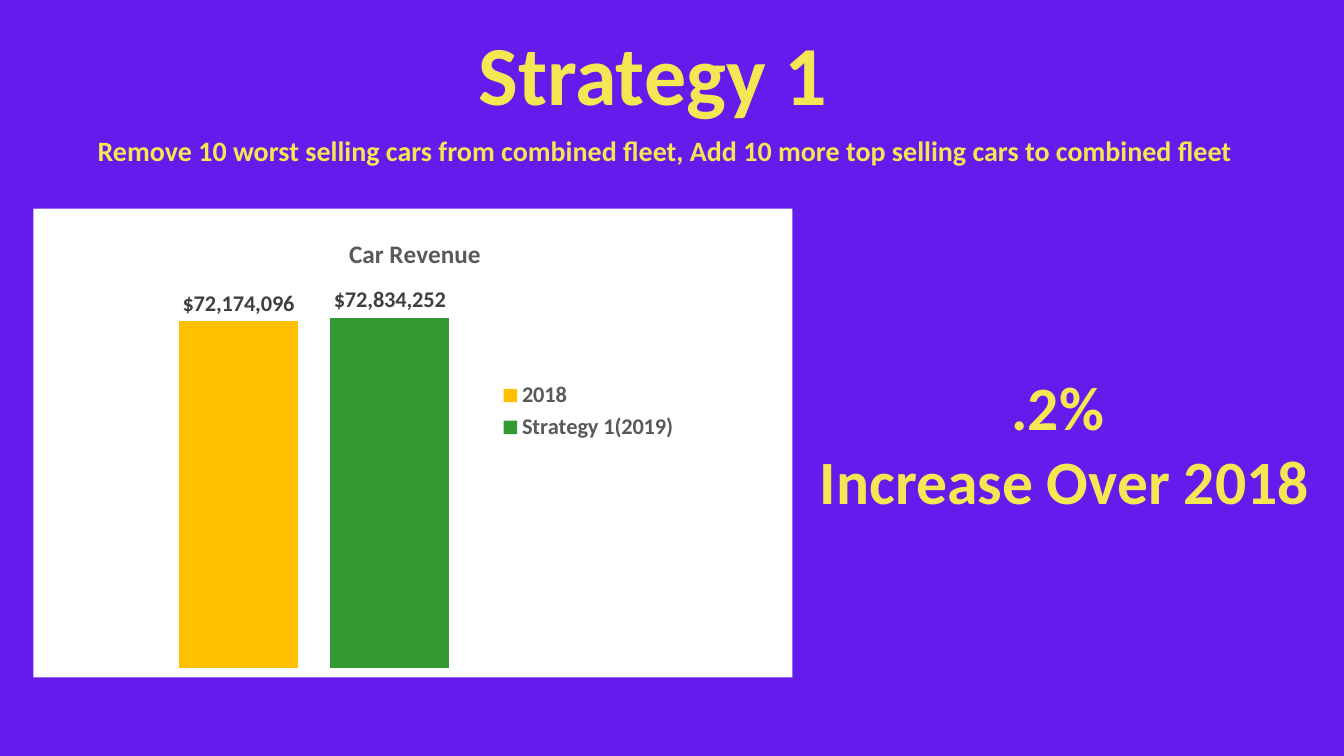
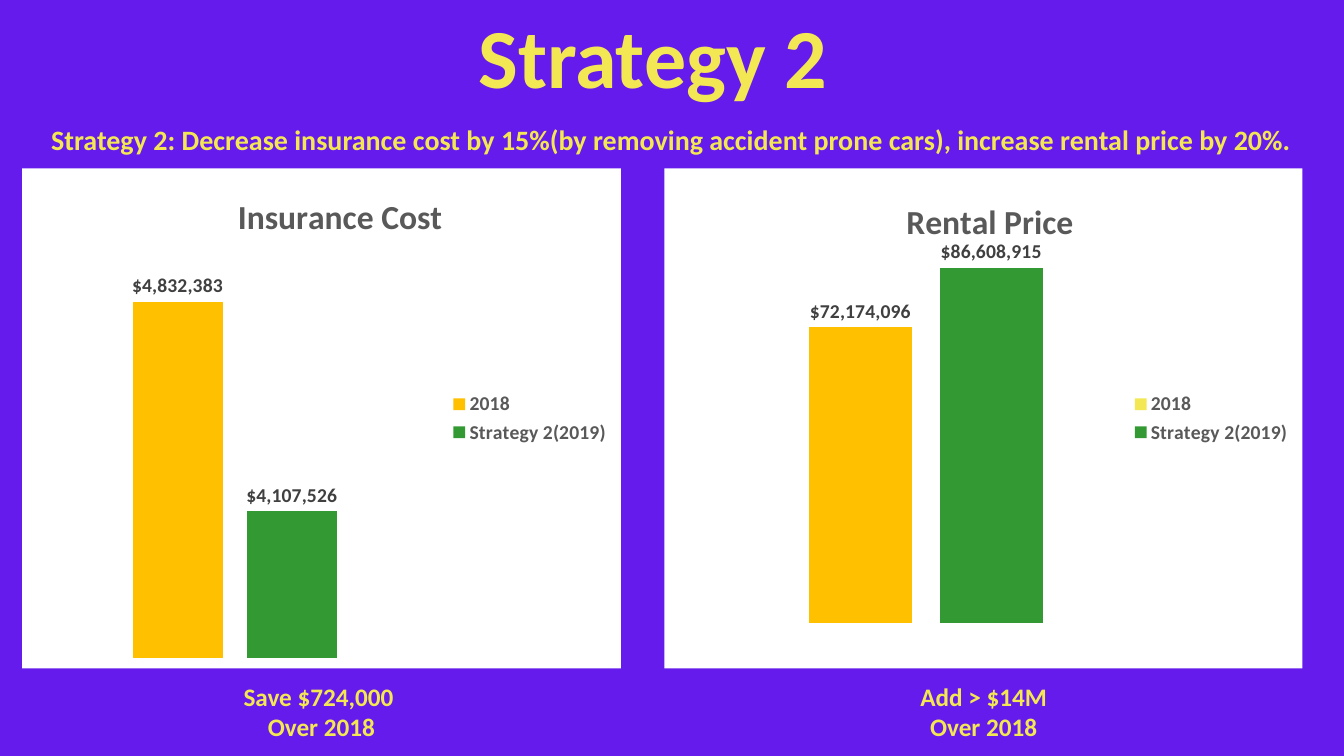
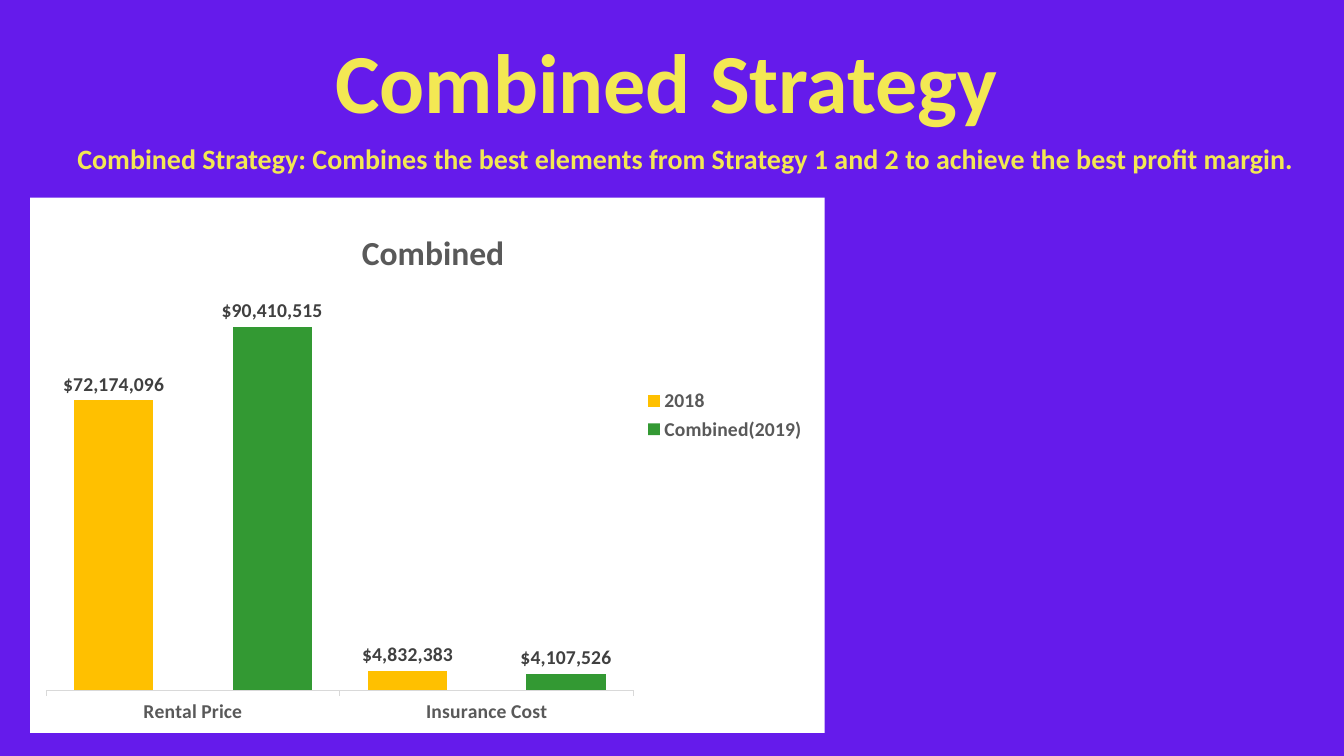
from dataclasses import dataclass

from lxml.etree import SubElement
from pptx import Presentation
from pptx.chart.data import CategoryChartData
from pptx.dml.color import RGBColor
from pptx.enum.chart import XL_CHART_TYPE, XL_LABEL_POSITION, XL_LEGEND_POSITION, XL_TICK_MARK
from pptx.enum.text import MSO_AUTO_SIZE, PP_ALIGN
from pptx.oxml import parse_xml
from pptx.oxml.ns import nsdecls, qn
from pptx.util import Cm, Pt


@dataclass(frozen=True)
class Theme:
    font: str = "Calibri"
    chart_font: str = "Quicksand"
    purple: str = "651BEB"
    yellow: str = "F3E853"
    white: str = "FFFFFF"
    black: str = "000000"
    amber: str = "FFC000"
    green: str = "339933"
    grey: str = "595959"
    dark_grey: str = "404040"
    light_grey: str = "D9D9D9"
    title: int = 60
    subtitle: int = 20
    headline: int = 44
    note: int = 18
    chart_base: int = 10
    chart_title: int = 24
    chart_label: int = 14
    dollars: str = '"$"#,##0'


@dataclass(frozen=True)
class ChartLayout:
    title: tuple
    plot: tuple
    legend: tuple = ()


class StrategyDeck:
    def __init__(self, theme):
        self.theme = theme
        self.deck = Presentation()
        self.deck.slide_width = Cm(33.87)
        self.deck.slide_height = Cm(19.05)
        self.page = None

    def new_page(self):
        self.page = self.deck.slides.add_slide(self.deck.slide_layouts[6])
        self.paint(self.page.background.fill, self.theme.purple)

    def paint(self, fill, color):
        fill.solid()
        fill.fore_color.rgb = RGBColor.from_string(color)

    def style(self, font, size, color, name=None, bold=True):
        font.name = name or self.theme.font
        font.size = Pt(size)
        font.bold = bold
        font.color.rgb = RGBColor.from_string(color)

    def text(self, area, lines, size, align=PP_ALIGN.LEFT):
        box = self.page.shapes.add_textbox(*map(Cm, area))
        frame = box.text_frame
        frame.word_wrap = True
        frame.auto_size = MSO_AUTO_SIZE.SHAPE_TO_FIT_TEXT
        for index, line in enumerate(lines):
            para = frame.add_paragraph() if index else frame.paragraphs[0]
            para.alignment = align
            span = para.add_run()
            span.text = line
            self.style(span.font, size, self.theme.yellow)

    def title(self, left, top, width, words):
        self.text((left, top, width, 2.82), [words], self.theme.title)

    def subtitle(self, left, top, width, words):
        self.text((left, top, width, 1.12), [words], self.theme.subtitle)

    def callout(self, area, lines, size):
        self.text(area, lines, size, PP_ALIGN.CENTER)

    def place(self, element, index, position, inner=False):
        for old in element.findall(qn("c:layout")):
            element.remove(old)
        layout = element.makeelement(qn("c:layout"), {})
        element.insert(index, layout)
        manual = SubElement(layout, qn("c:manualLayout"))
        settings = [("layoutTarget", "inner")] if inner else []
        settings += [("xMode", "edge"), ("yMode", "edge")]
        settings += zip("xywh", position)
        for tag, value in settings:
            SubElement(manual, qn(f"c:{tag}")).set("val", str(value))

    def chart(self, area, heading, categories, series, layout, scale,
              heading_size=None, label_size=None, gap=219, overlap=-27,
              show_categories=False, legend_amber=True):
        theme = self.theme
        label_size = label_size or theme.chart_label
        data = CategoryChartData()
        data.categories = categories
        for name, values in series:
            data.add_series(name, values)
        chart = self.page.shapes.add_chart(
            XL_CHART_TYPE.COLUMN_CLUSTERED, *map(Cm, area), data).chart
        self.style(chart.font, theme.chart_base, theme.black, theme.chart_font, False)
        root = chart.element
        root.find(qn("c:chart")).addnext(parse_xml(
            f'<c:spPr {nsdecls("c", "a")}><a:solidFill><a:srgbClr val="{theme.white}"/>'
            '</a:solidFill><a:ln><a:noFill/></a:ln></c:spPr>'))

        chart.has_title = True
        span = chart.chart_title.text_frame.paragraphs[0].add_run()
        span.text = heading
        self.style(span.font, heading_size or theme.chart_title, theme.grey)
        self.place(root.find(".//" + qn("c:title")), 1, layout.title)
        self.place(root.find(".//" + qn("c:plotArea")), 0, layout.plot, True)

        chart.has_legend = True
        chart.legend.position = XL_LEGEND_POSITION.RIGHT
        chart.legend.include_in_layout = False
        self.style(chart.legend.font, label_size, theme.grey)
        if layout.legend:
            self.place(root.find(".//" + qn("c:legend")), 1, layout.legend)

        values_axis = chart.value_axis
        values_axis.minimum_scale, values_axis.maximum_scale = scale
        values_axis.has_major_gridlines = False
        values_axis.visible = False
        axis = chart.category_axis
        axis.visible = show_categories
        if show_categories:
            axis.major_tick_mark = XL_TICK_MARK.OUTSIDE
            self.style(axis.tick_labels.font, label_size, theme.grey)
            axis.format.line.color.rgb = RGBColor.from_string(theme.light_grey)
            axis.format.line.width = Pt(0.75)

        plot = chart.plots[0]
        plot.vary_by_categories = False
        plot.gap_width = gap
        plot.overlap = overlap
        for bars, color in zip(plot.series, (theme.amber, theme.green)):
            self.paint(bars.format.fill, color)
            labels = bars.data_labels
            labels.show_value = True
            labels.position = XL_LABEL_POSITION.OUTSIDE_END
            labels.number_format = theme.dollars
            labels.number_format_is_linked = False
            self.style(labels.font, label_size, theme.dark_grey)
        if not legend_amber:
            first = plot.series[0]
            self.paint(first.format.fill, theme.yellow)
            self.paint(first.points[0].format.fill, theme.amber)


def strategy_one(show):
    show.new_page()
    show.subtitle(2.21, 3.25, 29.44, "Remove 10 worst selling cars from combined fleet, "
                  "Add 10 more top selling cars to combined fleet")
    show.title(11.81, 0.41, 10.24, "Strategy 1")
    show.chart((0.84, 5.26, 19.13, 11.81), "Car Revenue", ["1"],
               [("2018", [72174096]), ("Strategy 1(2019)", [72834252])],
               ChartLayout((0.41, 0.05), (0.02, 0.16, 0.7, 0.82), (0.61, 0.36)),
               (0, 80000000), heading_size=18, label_size=16)
    show.callout((20.27, 9.17, 13.13, 4.01), [".2% ", "Increase Over 2018"],
                 show.theme.headline)


def strategy_two(show):
    show.new_page()
    show.subtitle(1.04, 2.97, 32, "Strategy 2: Decrease insurance cost by 15%"
                  "(by removing accident prone cars), increase rental price by 20%.")
    show.title(11.81, 0, 10.24, "Strategy 2")
    show.chart((0.56, 4.24, 15.09, 12.6), "Insurance Cost", ["1"],
               [("2018", [4832383]), ("Strategy 2(2019)", [4107526])],
               ChartLayout((0.35, 0.04), (0.02, 0.17, 0.67, 0.81)),
               (3600000, 5000000))
    show.chart((16.74, 4.24, 16.08, 12.6), "Rental Price", ["1"],
               [("2018", [72174096]), ("Strategy 2(2019)", [86608915])],
               ChartLayout((0.37, 0.05), (0.05, 0.09, 0.72, 0.82)),
               (0, 100000000), legend_amber=False)
    notes = [(2.87, "Save $724,000 "), (19.56, "Add > $14M")]
    for left, words in notes:
        show.callout((left, 17.04, 10.46, 1.8), [words, "Over 2018"], show.theme.note)


def combined_strategy(show):
    show.new_page()
    show.subtitle(1.7, 3.43, 31.5, "Combined Strategy: Combines the best elements from "
                  "Strategy 1 and 2 to achieve the best profit margin.")
    show.title(8.2, 0.61, 17.45, "Combined Strategy")
    show.chart((0.76, 4.98, 20.02, 13.49), "Combined", ["Rental Price", "Insurance Cost"],
               [("2018", [72174096, 4832383]), ("Combined(2019)", [90410515, 4107526])],
               ChartLayout((0.41, 0.05), (0.02, 0.17, 0.74, 0.75), (0.77, 0.35)),
               (0, 100000000), gap=71, overlap=-100, show_categories=True)


def main():
    show = StrategyDeck(Theme())
    strategy_one(show)
    strategy_two(show)
    combined_strategy(show)
    show.deck.save("out.pptx")


if __name__ == "__main__":
    main()
